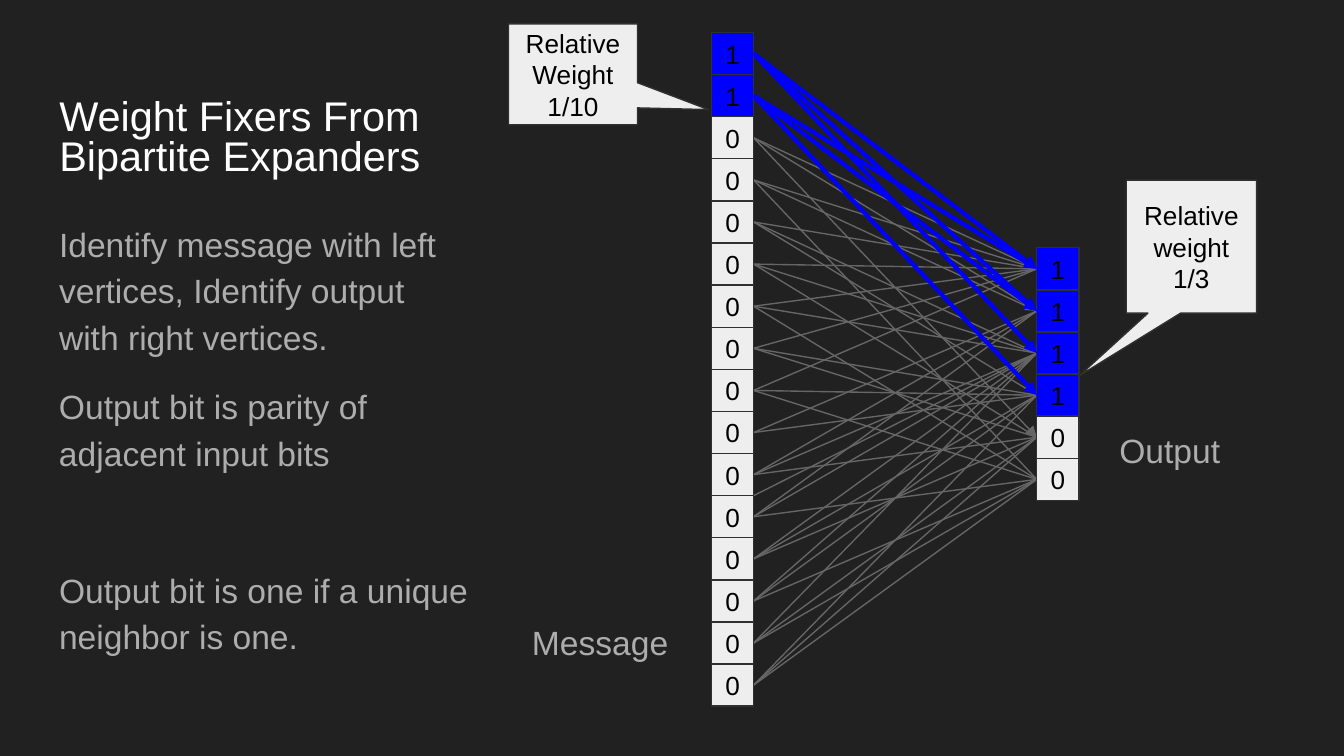
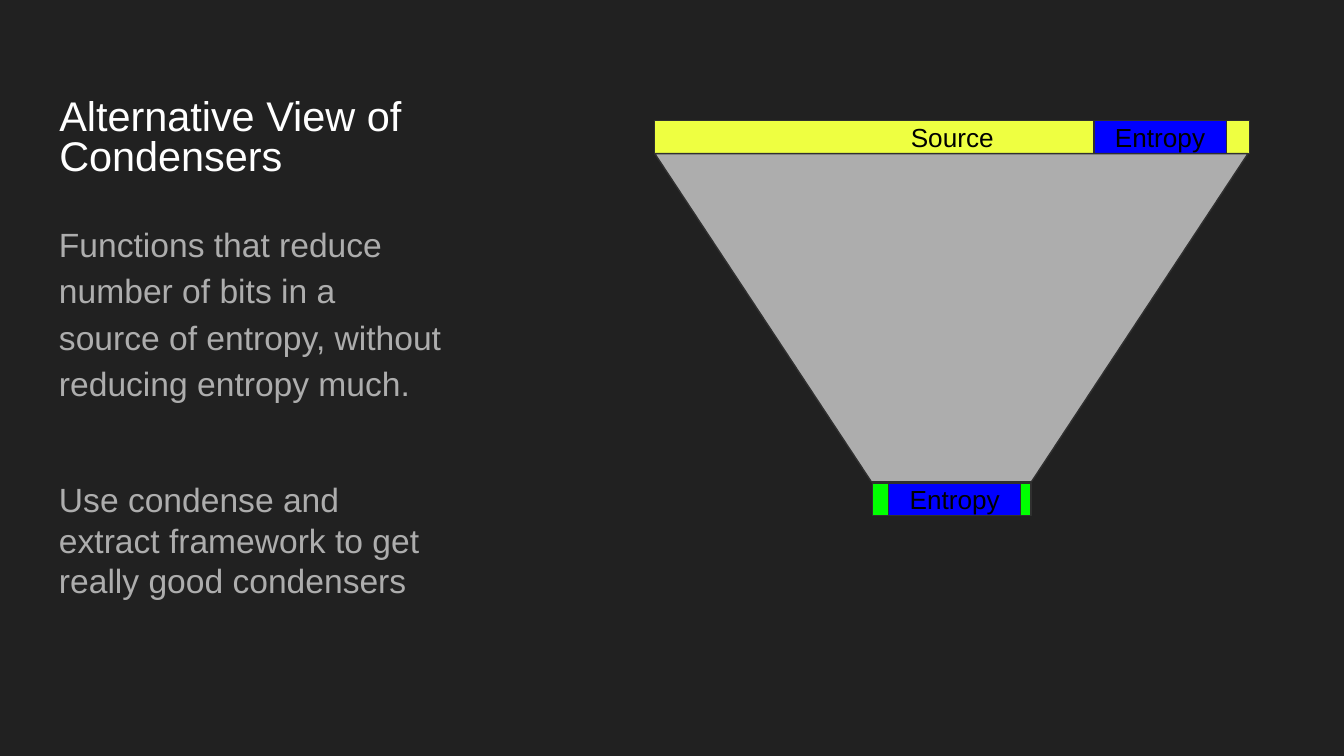
from dataclasses import dataclass

from lxml.etree import SubElement
from pptx import Presentation
from pptx.dml.color import RGBColor
from pptx.enum.shapes import MSO_CONNECTOR as Line, MSO_SHAPE as Shape
from pptx.enum.text import MSO_ANCHOR as Anchor, MSO_AUTO_SIZE as AutoSize, PP_ALIGN as Align
from pptx.oxml.ns import qn
from pptx.util import Inches, Pt


@dataclass(frozen=True)
class Theme:
    font: str = "Arial"
    background: str = "212121"
    title: str = "FFFFFF"
    body: str = "ADADAD"
    ink: str = "000000"
    outline: str = "303030"
    edge: str = "666666"
    zero: str = "EEEEEE"
    one: str = "0000FF"
    source: str = "EEFF41"
    output: str = "00FF00"
    title_size: float = 22.2
    body_size: float = 18
    label_size: float = 14
    thin: float = 0.75
    thick: float = 2.25


THEME = Theme()

# Grid of square cells: 100 columns across a 16:9 slide
COLS, ROWS = 100, 56.25
CELL = Inches(10) / COLS


def grid(n):
    return round(n * CELL)


@dataclass(frozen=True)
class Box:
    x: float
    y: float
    w: float
    h: float

    def sub(self, x, y, w, h):
        return Box(self.x + x, self.y + y, w, h)

    def frame(self):
        return [grid(n) for n in (self.x, self.y, self.w, self.h)]


# Shared regions
TITLE = Box(3.41, 6.06, 30.7, 8.3)
TEXT = Box(3.41, 15.22, 34.8, 41)
GRAPH = Box(52.94, 2.42, 27.34, 50.13)
FUNNEL = Box(48.72, 8.98, 44.27, 29.4)

# Right neighbours of each message bit, top to bottom
NEIGHBOURS = ("012 013 014 015 023 024 025 034 035 13 "
              "124 125 234 235 245 345").split()
ONES = 2
OUTPUT_BITS = "111100"
STRAY_EDGE = (10.5, 2)
ARROWED_EDGES = {(2, 1), (2, 4)}


def rgb(code):
    return RGBColor.from_string(code)


def write(shape, text, size, color, align=Align.LEFT, anchor=Anchor.TOP,
          spacing=1.0, after=0):
    tf = shape.text_frame
    tf.text = text
    tf.word_wrap = True
    tf.auto_size = AutoSize.NONE
    tf.vertical_anchor = anchor
    tf.margin_left = tf.margin_right = tf.margin_top = tf.margin_bottom = grid(1)
    p = tf.paragraphs[0]
    p.alignment = align
    p.line_spacing = spacing
    p.space_before, p.space_after = Pt(0), Pt(after)
    font = p.runs[0].font
    font.name, font.size = THEME.font, Pt(size)
    font.color.rgb = rgb(color)


def add_note(s, box, text, spacing=1.15, after=12):
    write(s.shapes.add_textbox(*box.frame()), text, THEME.body_size,
          THEME.body, spacing=spacing, after=after)


def add_block(s, box, fill, text="", kind=Shape.RECTANGLE, adjust=()):
    sp = s.shapes.add_shape(kind, *box.frame())
    sp.shadow.inherit = False
    sp.fill.solid()
    sp.fill.fore_color.rgb = rgb(fill)
    sp.line.color.rgb = rgb(THEME.outline)
    sp.line.width = Pt(THEME.thin)
    for i, value in enumerate(adjust):
        sp.adjustments[i] = value
    if text:
        write(sp, text, THEME.label_size, THEME.ink, Align.CENTER, Anchor.MIDDLE)
    return sp


def add_edge(s, start, end, color, width, arrow):
    cx = s.shapes.add_connector(Line.STRAIGHT, *map(grid, (*start, *end)))
    cx.line.color.rgb = rgb(color)
    cx.line.width = Pt(width)
    if arrow:
        SubElement(cx.line._get_or_add_ln(), qn("a:tailEnd"), type="triangle")
    SubElement(cx._element.spPr, qn("a:effectLst"))


def add_titled_slide(prs, title):
    s = prs.slides.add_slide(prs.slide_layouts[5])
    sp = s.shapes.title
    sp.left, sp.top, sp.width, sp.height = TITLE.frame()
    write(sp, title, THEME.title_size, THEME.title, anchor=Anchor.BOTTOM, spacing=0.8)
    return s


def draw_expander(s, box):
    bit = box.h / len(NEIGHBOURS)
    right = box.w - bit
    output_top = 16.02

    def connect(i, j, color, width, arrow):
        start = box.x + bit, box.y + (i + 0.5) * bit
        end = box.x + right, box.y + output_top + (j + 0.5) * bit
        add_edge(s, start, end, color, width, arrow)

    def stack(x, y, bits):
        for i, value in enumerate(bits):
            fill = THEME.one if value == "1" else THEME.zero
            add_block(s, box.sub(x, y + i * bit, bit, bit), fill, value)

    edges = [(i, int(j)) for i, ends in enumerate(NEIGHBOURS) for j in ends]

    # Edges of zero bits lie behind the two columns
    for i, j in [e for e in edges if e[0] >= ONES] + [STRAY_EDGE]:
        connect(i, j, THEME.edge, THEME.thin, (i, j) in ARROWED_EDGES)

    # Message and output columns
    stack(0, 0, "1" * ONES + "0" * (len(NEIGHBOURS) - ONES))
    stack(right, output_top, OUTPUT_BITS)

    # Edges of one bits
    for i, j in [e for e in edges if e[0] < ONES]:
        connect(i, j, THEME.one, THEME.thick, True)

    # Column names and weight callouts
    add_note(s, box.sub(-14.34, 42.88, 12.8, 5), "Message", 1, 0)
    add_note(s, box.sub(29.36, 28.58, 10.1, 5), "Output", 1, 0)
    callout = Shape.RECTANGULAR_CALLOUT
    add_block(s, box.sub(-15.1, -0.64, 9.6, 7.5), THEME.zero,
              "Relative Weight 1/10", callout, (1.05, 0.35))
    add_block(s, box.sub(30.86, 10.98, 9.7, 9.9), THEME.zero,
              "Relative weight 1/3", callout, (-0.86, 0.97))


def draw_condenser(s, box):
    bar = 2.45
    entropy = 9.84
    bottom = box.h - bar

    # Source bar, funnel, condensed bar
    add_block(s, box.sub(0, 0, box.w, bar), THEME.source, "Source")
    add_block(s, box.sub(32.68, 0, entropy, bar), THEME.one, "Entropy")
    funnel = add_block(s, box.sub(0, bar, 44.14, 24.42), THEME.body,
                       kind=Shape.TRAPEZOID, adjust=(0.66,))
    funnel.rotation = 180
    add_block(s, box.sub(16.2, bottom, 11.8, bar), THEME.output)
    add_block(s, box.sub(17.4, bottom, entropy, bar), THEME.one, "Entropy")


def build_expander_slide(prs):
    s = add_titled_slide(prs, "Weight Fixers From Bipartite Expanders")
    add_note(s, TEXT.sub(0, 0, 32.5, 9.9),
             "Identify message with left vertices, Identify output with right vertices.")
    add_note(s, TEXT.sub(0, 12.06, 33.3, 9.9),
             "Output bit is parity of adjacent input bits")
    add_note(s, TEXT.sub(0, 25.72, 34.8, 15.3),
             "Output bit is one if a unique neighbor is one.")
    draw_expander(s, GRAPH)


def build_condenser_slide(prs):
    s = add_titled_slide(prs, "Alternative View of Condensers")
    add_note(s, TEXT.sub(0, 0, 30.7, 16),
             "Functions that reduce number of bits in a source of entropy, "
             "without reducing entropy much.")
    add_note(s, TEXT.sub(0, 19.44, 30.4, 17.2),
             "Use condense and extract framework to get really good condensers", 1, 0)
    draw_condenser(s, FUNNEL)


def main():
    prs = Presentation()
    prs.slide_width, prs.slide_height = grid(COLS), grid(ROWS)
    fill = prs.slide_master.background.fill
    fill.solid()
    fill.fore_color.rgb = rgb(THEME.background)
    build_expander_slide(prs)
    build_condenser_slide(prs)
    prs.save("out.pptx")


if __name__ == "__main__":
    main()
